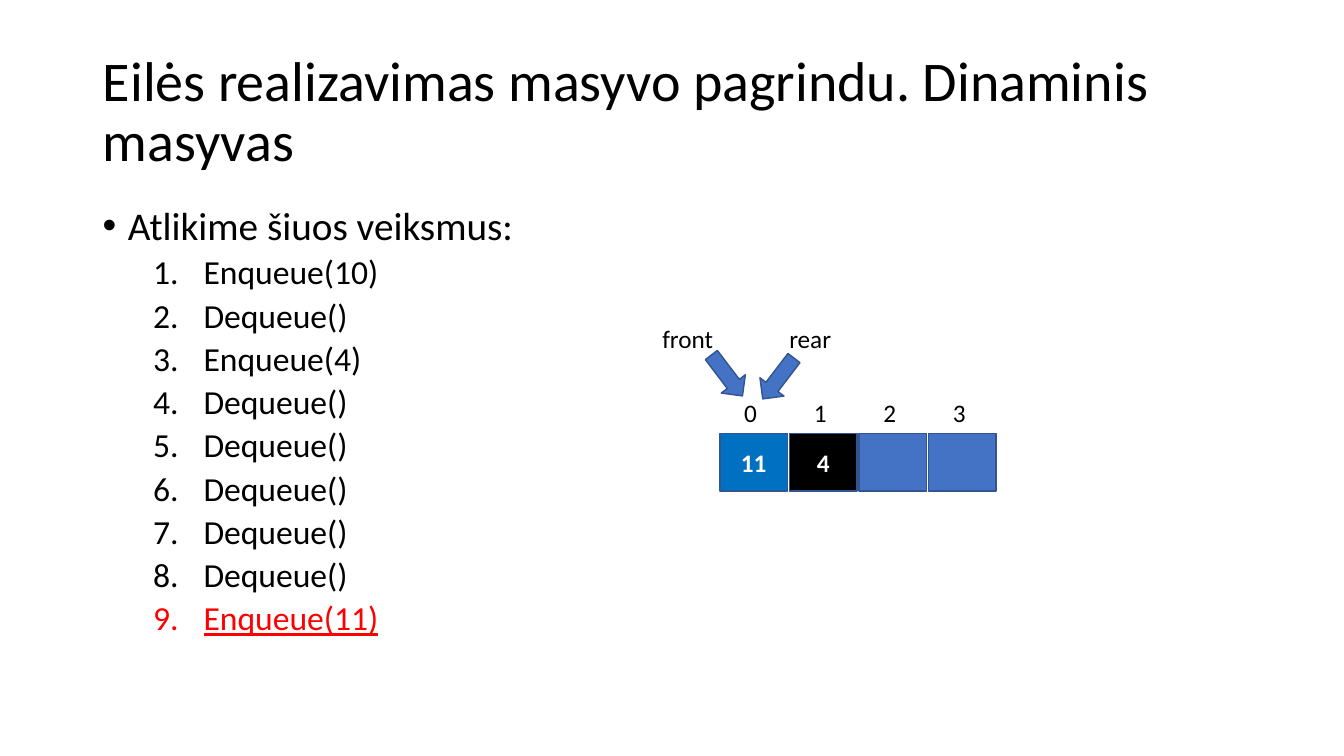
from dataclasses import dataclass

from lxml import etree
from pptx import Presentation
from pptx.dml.color import RGBColor as Color
from pptx.enum.shapes import MSO_SHAPE as Shape
from pptx.enum.text import MSO_ANCHOR as Anchor, MSO_AUTO_SIZE as AutoSize, PP_ALIGN as Align
from pptx.oxml.ns import qn
from pptx.util import Inches, Pt


@dataclass(frozen=True)
class Theme:
    font: str = "Calibri"
    ink: str = "000000"
    white: str = "FFFFFF"
    accent: str = "4472C4"
    outline: str = "325491"
    newest: str = "0070C0"
    removed: str = "000000"
    current: str = "FF0000"
    title: int = 40
    body: int = 28
    step: int = 24
    label: int = 18


THEME = Theme()
STEPS = ["Enqueue(10)", "Dequeue()", "Enqueue(4)"] + ["Dequeue()"] * 5 + ["Enqueue(11)"]
CELLS = [("11", THEME.newest), ("4", THEME.removed), ("", THEME.accent), ("", THEME.accent)]


def write(para, text, size=THEME.label, color=THEME.ink, bold=False, underline=False,
          align=Align.LEFT, spacing=1.0, before=0):
    """Add a formatted run and set the spacing of its paragraph."""
    para.alignment = align
    para.line_spacing = spacing
    para.space_before = Pt(before)
    span = para.add_run()
    span.text = text
    span.font.name = THEME.font
    span.font.size = Pt(size)
    span.font.bold = bold
    span.font.underline = underline
    span.font.color.rgb = Color.from_string(color)


def set_bullet(para, left, hanging, tag, **attributes):
    props = para._p.get_or_add_pPr()
    props.set("marL", str(Inches(left)))
    props.set("indent", str(-Inches(hanging)))
    if tag == "a:buChar":
        etree.SubElement(props, qn("a:buFont")).set("typeface", "Arial")
    etree.SubElement(props, qn(tag), attributes)


def add_text_box(page, left, top, width, height):
    box = page.shapes.add_textbox(*map(Inches, (left, top, width, height)))
    box.text_frame.word_wrap = True
    return box.text_frame


def add_label(page, text, left, top, width, align=Align.LEFT):
    frame = add_text_box(page, left, top, width, 0.4)
    frame.auto_size = AutoSize.SHAPE_TO_FIT_TEXT
    write(frame.paragraphs[0], text, align=align)


def add_filled(page, kind, left, top, width, height, fill=THEME.accent, rotation=0):
    shape = page.shapes.add_shape(kind, *map(Inches, (left, top, width, height)))
    shape.shadow.inherit = False
    shape.rotation = rotation
    shape.fill.solid()
    shape.fill.fore_color.rgb = Color.from_string(fill)
    shape.line.color.rgb = Color.from_string(THEME.outline)
    shape.line.width = Pt(1)
    return shape


def add_title(page, text, left, top, width, height):
    title = page.shapes.title
    title.left, title.top, title.width, title.height = map(Inches, (left, top, width, height))
    frame = title.text_frame
    frame.word_wrap = True
    frame.auto_size = AutoSize.NONE
    frame.vertical_anchor = Anchor.MIDDLE
    write(frame.paragraphs[0], text, size=THEME.title, spacing=0.9)


def add_steps(page, heading, steps, left, top, width, height):
    frame = add_text_box(page, left, top, width, height)
    para = frame.paragraphs[0]
    write(para, heading, size=THEME.body, spacing=0.9, before=10)
    set_bullet(para, 0.25, 0.25, "a:buChar", char="•")
    for number, step in enumerate(steps, 1):
        para = frame.add_paragraph()
        para.level = 1
        is_current = number == len(steps)
        write(para, step, size=THEME.step, color=THEME.current if is_current else THEME.ink,
              underline=is_current, spacing=0.9, before=5)
        set_bullet(para, 1, 0.5, "a:buAutoNum", type="arabicPeriod")


def add_queue(page, cells, left, top):
    """Draw the pointers, the indexes and the array cells."""
    # Pointers to the first cell
    pointers = [("front", 0, 0.59, 0.31, 322.8), ("rear", 1.26, 1.1, 0.34, 37.4)]
    for name, label_x, arrow_x, arrow_y, rotation in pointers:
        add_filled(page, Shape.DOWN_ARROW, left + arrow_x, top + arrow_y, 0.3, 0.51,
                   rotation=rotation)
        add_label(page, name, left + label_x, top, 0.72)
    # Array cells with their indexes
    width, pitch = 0.67, 0.69
    for index, (value, fill) in enumerate(cells):
        x = left + 0.67 + index * pitch
        cell = add_filled(page, Shape.RECTANGLE, x, top + 1.14, width, 0.57, fill)
        if value:
            cell.text_frame.vertical_anchor = Anchor.MIDDLE
            write(cell.text_frame.paragraphs[0], value, color=THEME.white, bold=True,
                  align=Align.CENTER)
        add_label(page, str(index), x - 0.03, top + 0.73, width, Align.CENTER)


def main():
    deck = Presentation()
    deck.slide_width, deck.slide_height = Inches(13.33), Inches(7.5)
    page = deck.slides.add_slide(deck.slide_layouts.get_by_name("Title Only"))
    add_title(page, "Eilės realizavimas masyvo pagrindu. Dinaminis masyvas", 0.92, 0.4, 11.5, 1.45)
    add_steps(page, "Atlikime šiuos veiksmus:", STEPS, 0.92, 2, 5.75, 4.9)
    add_queue(page, CELLS, 6.47, 3.16)
    deck.save("out.pptx")


if __name__ == "__main__":
    main()
